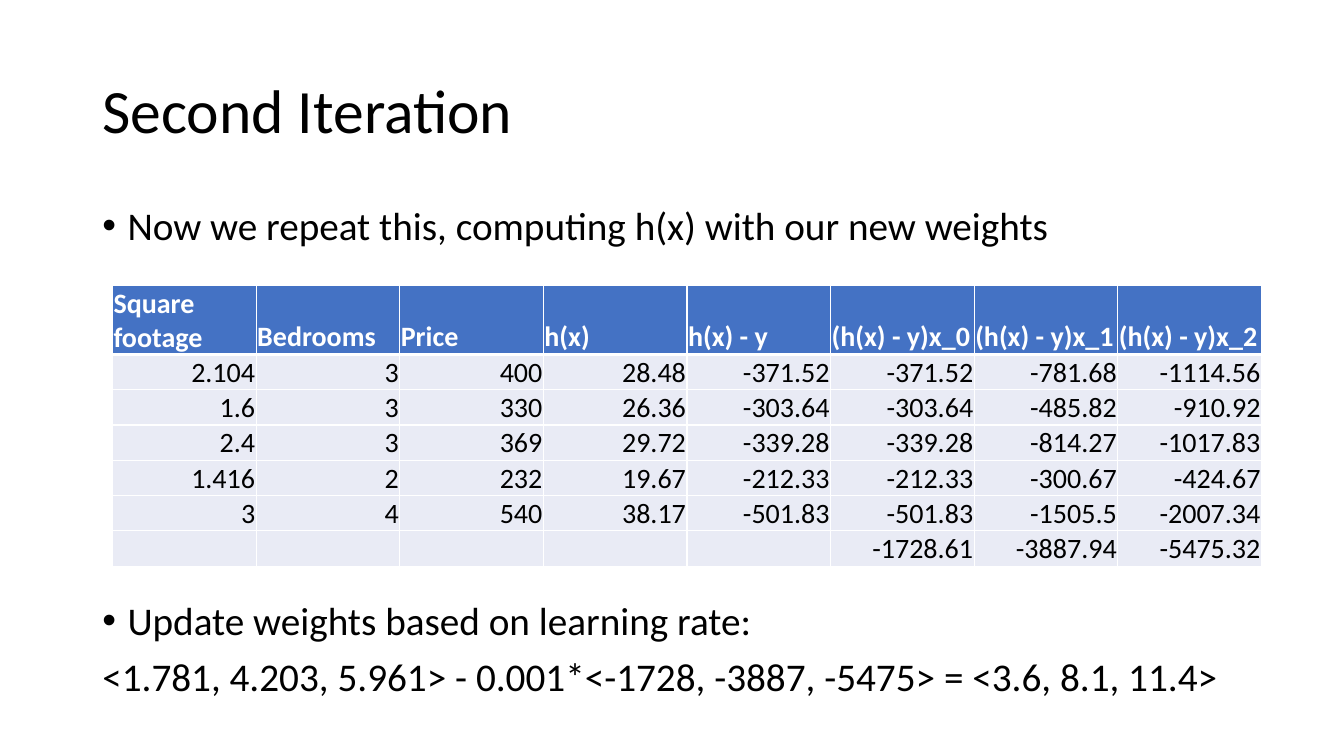
from dataclasses import dataclass

from lxml import etree
from pptx import Presentation
from pptx import util as u
from pptx.dml.color import RGBColor
from pptx.enum import text
from pptx.oxml.ns import qn


@dataclass(frozen=True)
class Theme:
    font: str = "Calibri"
    ink: str = "000000"
    paper: str = "FFFFFF"
    header: str = "4472C4"
    body_row: str = "E9EBF5"
    title_size: int = 44
    body_size: int = 28
    table_size: int = 20


THEME = Theme()

# The slide is a grid of 160 columns by 90 rows
WIDTH, HEIGHT = u.Inches(13.33), u.Inches(7.5)
COLUMNS, ROWS = 160, 90
MARGIN, CONTENT = 11, 138

HEADINGS = ["Square footage", "Bedrooms", "Price", "h(x)", "h(x) - y",
            "(h(x) - y)x_0", "(h(x) - y)x_1", "(h(x) - y)x_2"]
HOUSES = [
    ["2.104", "3", "400", "28.48", "-371.52", "-371.52", "-781.68", "-1114.56"],
    ["1.6", "3", "330", "26.36", "-303.64", "-303.64", "-485.82", "-910.92"],
    ["2.4", "3", "369", "29.72", "-339.28", "-339.28", "-814.27", "-1017.83"],
    ["1.416", "2", "232", "19.67", "-212.33", "-212.33", "-300.67", "-424.67"],
    ["3", "4", "540", "38.17", "-501.83", "-501.83", "-1505.5", "-2007.34"],
]
SUMS = [""] * 5 + ["-1728.61", "-3887.94", "-5475.32"]


def across(columns):
    return round(WIDTH * columns / COLUMNS)


def down(rows):
    return round(HEIGHT * rows / ROWS)


def style_font(font, size, color, bold=False):
    font.name, font.size, font.bold = THEME.font, u.Pt(size), bold
    font.color.rgb = RGBColor.from_string(color)


def add_bullet(paragraph):
    properties = paragraph._p.get_or_add_pPr()
    properties.set("marL", str(u.Inches(0.25)))
    properties.set("indent", str(u.Inches(-0.25)))
    etree.SubElement(properties, qn("a:buFont"), typeface="Arial")
    etree.SubElement(properties, qn("a:buChar"), char="•")


def add_lines(slide, top, height, lines, size, anchor=text.MSO_ANCHOR.TOP):
    """Add a text block; each line is a (wording, bulleted) pair."""
    frame = slide.shapes.add_textbox(across(MARGIN), down(top),
                                     across(CONTENT), down(height)).text_frame
    frame.word_wrap = True
    frame.vertical_anchor = anchor
    frame.text = "\n".join(wording for wording, _ in lines)
    for index, (paragraph, (_, bulleted)) in enumerate(zip(frame.paragraphs, lines)):
        if bulleted:
            add_bullet(paragraph)
        paragraph.line_spacing = 0.9
        if index:
            paragraph.space_before = u.Pt(10)
        style_font(paragraph.runs[0].font, size, THEME.ink)


def add_borders(cell, **widths):
    properties = cell._tc.get_or_add_tcPr()
    for side in "LRTB":
        line = etree.SubElement(properties, qn(f"a:ln{side}"),
                                w=str(u.Pt(widths.get(side, 1))))
        paint = etree.SubElement(line, qn("a:solidFill"))
        etree.SubElement(paint, qn("a:srgbClr"), val=THEME.paper)


def fill_cell(cell, wording, row):
    is_heading = row == 0
    cell.margin_left = cell.margin_right = cell.margin_top = u.Inches(0.01)
    cell.margin_bottom = 0
    cell.vertical_anchor = text.MSO_ANCHOR.BOTTOM
    # A thick rule separates the headings from the houses
    add_borders(cell, B=3 if is_heading else 1, T=3 if row == 1 else 1)
    cell.fill.solid()
    cell.fill.fore_color.rgb = RGBColor.from_string(
        THEME.header if is_heading else THEME.body_row)
    if wording:
        cell.text_frame.text = wording
        paragraph = cell.text_frame.paragraphs[0]
        paragraph.alignment = text.PP_ALIGN.LEFT if is_heading else text.PP_ALIGN.RIGHT
        style_font(paragraph.runs[0].font, THEME.table_size,
                   THEME.paper if is_heading else THEME.ink, is_heading)


def add_gradient_table(slide, left, top, column_width, heading_height, row_height):
    records = [HEADINGS, *HOUSES, SUMS]
    count = len(HEADINGS)
    height = heading_height + row_height * (len(records) - 1)
    gradients = slide.shapes.add_table(
        len(records), count, across(left), down(top),
        across(column_width * count), down(height)).table
    gradients.horz_banding = False
    for column in gradients.columns:
        column.width = across(column_width)
    for row, record in enumerate(records):
        gradients.rows[row].height = down(row_height if row else heading_height)
        for column, wording in enumerate(record):
            fill_cell(gradients.cell(row, column), wording, row)


def main():
    deck = Presentation()
    deck.slide_width, deck.slide_height = WIDTH, HEIGHT
    slide = deck.slides.add_slide(deck.slide_layouts[6])

    # Title
    add_lines(slide, 4.8, 17.4, [("Second Iteration", False)],
              THEME.title_size, text.MSO_ANCHOR.MIDDLE)

    # Step one: predictions and gradients
    add_lines(slide, 24, 7, [
        ("Now we repeat this, computing h(x) with our new weights", True),
    ], THEME.body_size)
    add_gradient_table(slide, 13.4, 34, 17.1, 8.2, 4.2)

    # Step two: the weight update
    add_lines(slide, 71, 15, [
        ("Update weights based on learning rate:", True),
        ("<1.781, 4.203, 5.961> - 0.001*<-1728, -3887, -5475> = <3.6, 8.1, 11.4>", False),
    ], THEME.body_size)

    deck.save("out.pptx")


if __name__ == "__main__":
    main()
